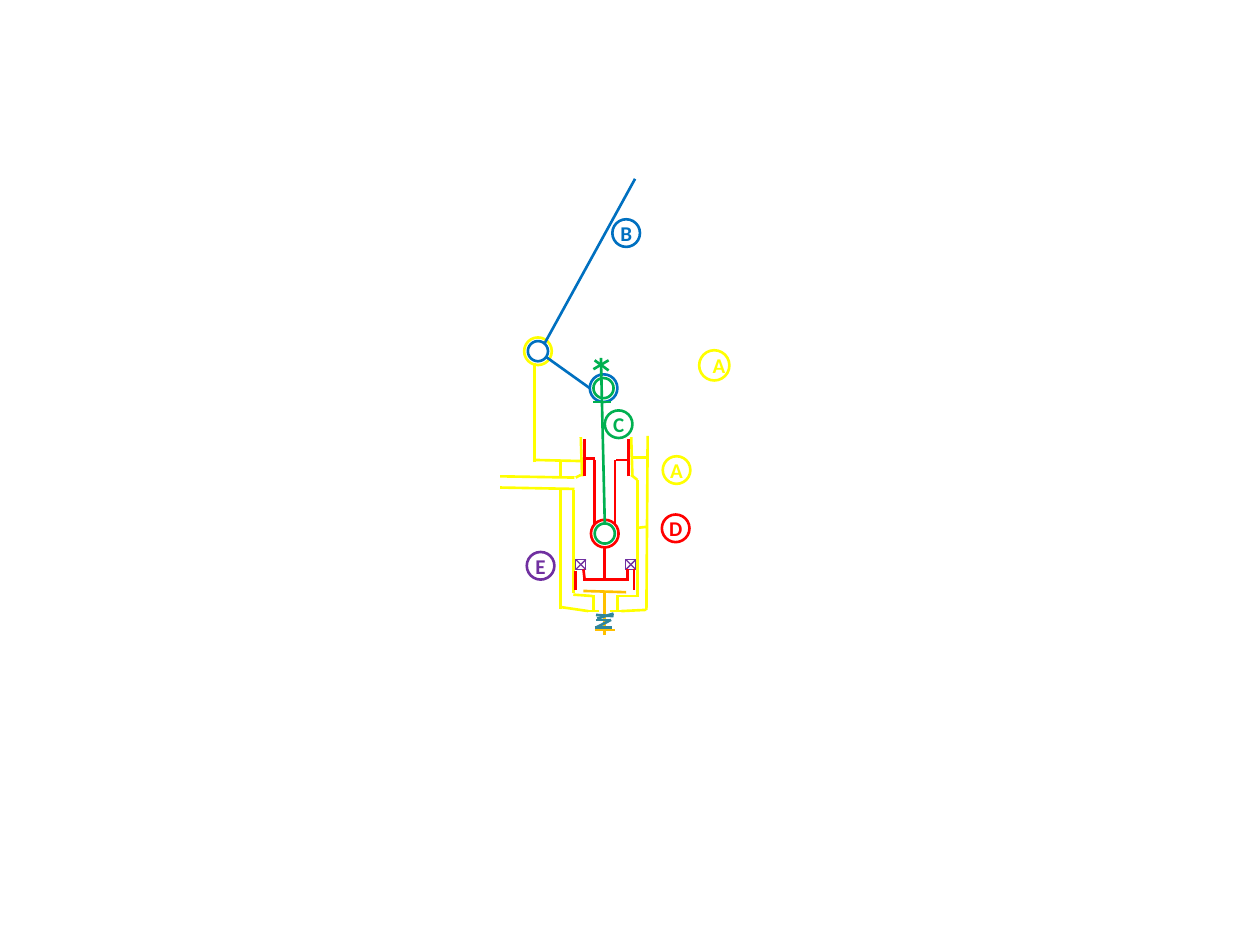
from lxml import etree
from pptx import Presentation
from pptx.dml.color import RGBColor
from pptx.enum.shapes import MSO_CONNECTOR, MSO_SHAPE
from pptx.enum.text import MSO_ANCHOR, PP_ALIGN
from pptx.oxml.ns import qn
from pptx.util import Pt

LINE = MSO_CONNECTOR.STRAIGHT
OVAL, BOX = MSO_SHAPE.OVAL, MSO_SHAPE.RECTANGLE
MID, MIDDLE = PP_ALIGN.CENTER, MSO_ANCHOR.MIDDLE

COLORS = {
    "yellow": "FFFF00", "red": "FF0000", "green": "00B050", "blue": "0070C0",
    "purple": "7030A0", "gold": "FFC000", "teal": "31859C",
}
THICK, THIN = 1.5, 0.75
OUTER, INNER, SEAL = 15.8, 11.5, 5.8

# Pivots: centre x, centre y, inner colour, outer colour
PIVOTS = [
    (307.4, 200.7, "blue", "yellow"),
    (344.9, 221.8, "green", "blue"),
    (345.6, 304.9, "green", "red"),
]
# Seals: left, top
SEALS = [(329, 319.7), (357.6, 319.7)]

# Badges: letter, colour, centre x, centre y, diameter, side inset
BADGES = [
    ("A", "yellow", 386.6, 268.6, OUTER, 0),
    ("A", "yellow", 408.2, 208.8, 17.3, 7.2),
    ("B", "blue", 357.8, 133.2, OUTER, 0),
    ("C", "green", 353.5, 242.4, OUTER, 0),
    ("D", "red", 386.1, 301.9, OUTER, 0),
    ("E", "purple", 308.9, 323.3, OUTER, 0),
]

# Strokes: colour, then x1, y1, x2, y2 of each line
STROKES = [
    # Housing
    ("yellow", [
        (327.6, 339.1, 327.6, 280.1), (364.3, 340.6, 364.3, 274.3),
        (332.6, 272.2, 331.9, 249.8), (361.4, 272.2, 360.7, 249.8),
        (320.4, 347.8, 320.4, 279.4), (369.4, 348.5, 370.1, 249.1),
        (363.6, 301.7, 370.1, 301), (329, 272.9, 331.9, 271.4),
        (304.6, 262.8, 332.6, 263.5), (360.7, 261.4, 370.8, 261.4),
        (327.6, 339.8, 338.4, 340.6), (352.1, 340.6, 365, 340.6),
        (355, 349.2, 369.4, 348.5), (321.1, 347, 336.2, 349.2),
        (335.5, 349.2, 342, 349.2), (348.5, 349.2, 355.7, 349.2),
        (305.3, 264.2, 305.3, 207.4), (285.8, 278.6, 328.3, 279.4),
        (285.8, 272.2, 328.3, 272.9), (320.4, 272.9, 320.4, 262.8),
        (339.1, 349.9, 339.1, 339.8), (352.8, 349.9, 352.8, 340.6),
        (364.3, 274.3, 360.7, 271.4),
    ]),
    # Piston
    ("red", [
        (329, 337, 329, 326.2), (362.2, 337, 362.2, 325.4),
        (333.4, 331.2, 359.3, 331.2), (345.6, 331.9, 345.6, 313.2),
        (334.1, 272.2, 334.1, 250.6), (359.3, 272.2, 359.3, 250.6),
        (351.4, 299.5, 351.4, 262.8), (339.8, 299.5, 339.8, 262.8),
        (334.1, 262.1, 339.8, 262.1), (352.1, 262.8, 358.6, 262.8),
        (334.1, 331.2, 333.4, 325.4), (358.6, 331.9, 358.6, 325.4),
    ]),
    # Push rod
    ("green", [
        (345.6, 299.5, 343.4, 204.5), (339.1, 211, 347.8, 205.9),
        (339.8, 205.9, 347.8, 211.7), (339.1, 229.7, 349.2, 229.7),
    ]),
    # Lever
    ("blue", [(311.8, 203.8, 337, 221.8), (311, 196.6, 362.9, 102.2)]),
    # Valve
    ("gold", [
        (333.4, 337.7, 357.8, 338.4), (345.6, 362.9, 345.6, 338.4),
        (339.8, 360, 351.4, 360),
    ]),
    # Spring
    ("teal", [
        (340.6, 358.6, 349.2, 354.2), (340.6, 354.2, 349.2, 354.2),
        (339.8, 358.6, 349.9, 358.6), (340.6, 351.4, 350.6, 352.1),
        (341.3, 353.5, 350.6, 350.6),
    ]),
]


def paint(line, color, width):
    line.color.rgb = RGBColor.from_string(COLORS[color])
    line.width = Pt(width)


def outline(shapes, kind, x, y, size, color, width=THICK):
    shape = shapes.add_shape(kind, Pt(x), Pt(y), Pt(size), Pt(size))
    shape.shadow.inherit = False
    shape.fill.background()
    paint(shape.line, color, width)
    return shape


def circle(shapes, x, y, size, color):
    return outline(shapes, OVAL, x - size / 2, y - size / 2, size, color)


def stroke(shapes, ends, color, width=THICK):
    line = shapes.add_connector(LINE, *map(Pt, ends))
    etree.SubElement(line._element.spPr, qn("a:effectLst"))
    paint(line.line, color, width)


def badge(shapes, text, color, x, y, size, inset):
    frame = circle(shapes, x, y, size, color).text_frame
    frame.margin_left = frame.margin_right = Pt(inset)
    frame.margin_top = frame.margin_bottom = Pt(inset / 2)
    frame.vertical_anchor = MIDDLE
    para = frame.paragraphs[0]
    para.text = text
    para.alignment = MID
    font = para.font
    font.name, font.size, font.bold = "Calibri", Pt(12), True
    font.color.rgb = RGBColor.from_string(COLORS[color])


def main():
    deck = Presentation()
    deck.slide_width, deck.slide_height = Pt(720), Pt(540)
    slide = deck.slides.add_slide(deck.slide_layouts[6])
    shapes = slide.shapes.add_group_shape().shapes

    for x, y, inner, outer in PIVOTS:
        circle(shapes, x, y, INNER, inner)
        circle(shapes, x, y, OUTER, outer)

    # Crossed boxes
    for x, y in SEALS:
        right, low = x + SEAL, y + SEAL
        outline(shapes, BOX, x, y, SEAL, "purple", THIN)
        stroke(shapes, (x, low, right, y), "purple", THIN)
        stroke(shapes, (x, y, right, low), "purple", THIN)

    for color, lines in STROKES:
        for ends in lines:
            stroke(shapes, ends, color)

    for item in BADGES:
        badge(shapes, *item)

    deck.save("out.pptx")


if __name__ == "__main__":
    main()
